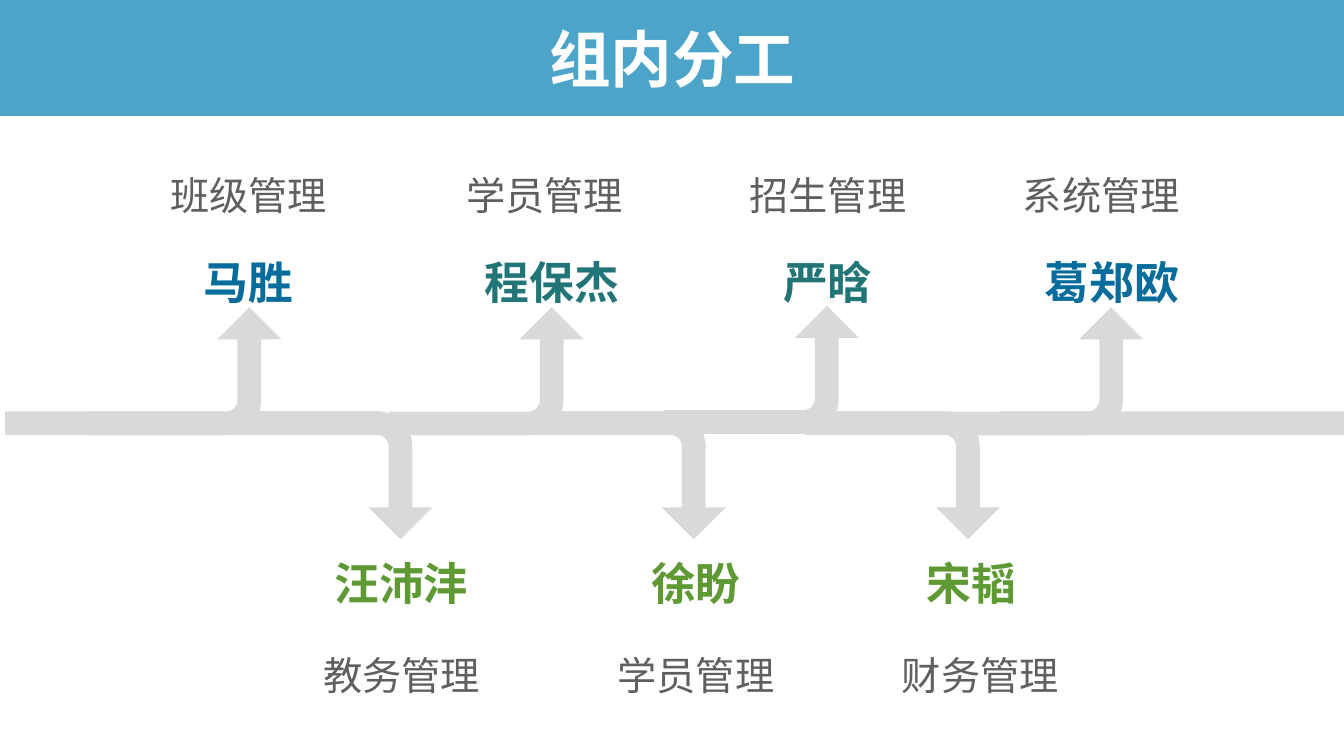
from pptx import Presentation
from pptx.dml.color import RGBColor
from pptx.enum.shapes import MSO_SHAPE
from pptx.enum.text import MSO_ANCHOR, MSO_AUTO_SIZE, PP_ALIGN
from pptx.oxml.ns import qn
from pptx.util import Pt
from lxml.etree import SubElement

GREY = "D9D9D9"
BLUE, TEAL, GREEN = "066C9C", "227577", "5F9933"
ARROW_W, ARROW_H = 91.5, 139
BOX_W = 160.5

# name, colour, role, arrow left, arrow top, name left, role left
UPPER = [
    ("马胜", BLUE, "班级管理", 85.7, 195.8, 97.2, 97.2),
    ("程保杰", TEAL, "学员管理", 301.7, 195.8, 313.9, 308.9),
    ("严晗", TEAL, "招生管理", 498.2, 194.7, 511.2, 511.2),
    ("葛郑欧", BLUE, "系统管理", 701.3, 195.8, 714.2, 706.3),
]
LOWER = [
    ("汪沛沣", GREEN, "教务管理", 193.7, 270, 206.6, 206.6),
    ("徐盼", GREEN, "学员管理", 403.2, 270, 416.9, 416.9),
    ("宋韬", GREEN, "财务管理", 599, 270, 613.4, 619.9),
]


def paint(fill, color):
    fill.solid()
    fill.fore_color.rgb = RGBColor.from_string(color)


def put_shape(slide, kind, left, top, width, height, color):
    shape = slide.shapes.add_shape(kind, Pt(left), Pt(top), Pt(width), Pt(height))
    shape.shadow.inherit = False
    shape.line.fill.background()
    paint(shape.fill, color)
    return shape


def put_band(slide):
    """Add the see-through header band behind everything else."""
    band = put_shape(slide, MSO_SHAPE.RECTANGLE, -0.7, -1.4, 961.2, 84.2, "0080B2")
    color = band.fill._xPr.find(qn("a:solidFill"))[0]
    SubElement(color, qn("a:alpha"), val="70000")
    slide.shapes._spTree.insert(2, band._element)


def put_arrow(slide, left, top, up):
    arrow = put_shape(slide, MSO_SHAPE.BENT_ARROW, left, top, ARROW_W, ARROW_H, GREY)
    for i, value in enumerate((0.185, 0.25, 0.25, 0.276)):
        arrow.adjustments[i] = value
    arrow.rotation = 270 if up else 90
    if up:
        arrow._element.spPr.find(qn("a:xfrm")).set("flipV", "1")


def write(shape, text, size=28, color="5F5F5F", bold=False,
          anchor=MSO_ANCHOR.MIDDLE, spacing=1.2):
    frame = shape.text_frame
    frame.word_wrap = True
    frame.auto_size = MSO_AUTO_SIZE.NONE
    frame.vertical_anchor = anchor
    para = frame.paragraphs[0]
    para.alignment = PP_ALIGN.CENTER
    para.line_spacing = spacing
    run = para.add_run()
    run.text = text
    font = run.font
    font.name, font.size, font.bold = "Arial", Pt(size), bold
    font.color.rgb = RGBColor.from_string(color)


def put_text(slide, text, left, top, height, **style):
    box = slide.shapes.add_textbox(Pt(left), Pt(top), Pt(BOX_W), Pt(height))
    write(box, text, **style)


def put_title(slide, text):
    title = slide.shapes.title
    title.left, title.top = Pt(49), Pt(13.7)
    title.width, title.height = Pt(862.5), Pt(62.6)
    write(title, text, size=44, color="FFFFFF", bold=True, spacing=0.9)


def put_member(slide, member, up):
    name, color, role, arrow_x, arrow_y, name_x, role_x = member
    put_arrow(slide, arrow_x, arrow_y, up)
    name_y, name_h = (174.2, 45.5) if up else (385.2, 54)
    role_y, role_h = (116.2, 43) if up else (455, 46.8)
    put_text(slide, name, name_x, name_y, name_h, size=32, color=color, bold=True)
    put_text(slide, role, role_x, role_y, role_h,
             anchor=MSO_ANCHOR.BOTTOM if up else MSO_ANCHOR.TOP)


def main():
    deck = Presentation()
    deck.slide_width, deck.slide_height = Pt(960), Pt(540)
    slide = deck.slides.add_slide(deck.slide_layouts[5])
    put_band(slide)
    put_title(slide, "组内分工")
    for left in (3.6, 714.2):
        put_shape(slide, MSO_SHAPE.RECTANGLE, left, 293.8, 245.8, 16.9, GREY)
    for member in UPPER:
        put_member(slide, member, True)
    for member in LOWER:
        put_member(slide, member, False)
    deck.save("out.pptx")


if __name__ == "__main__":
    main()
